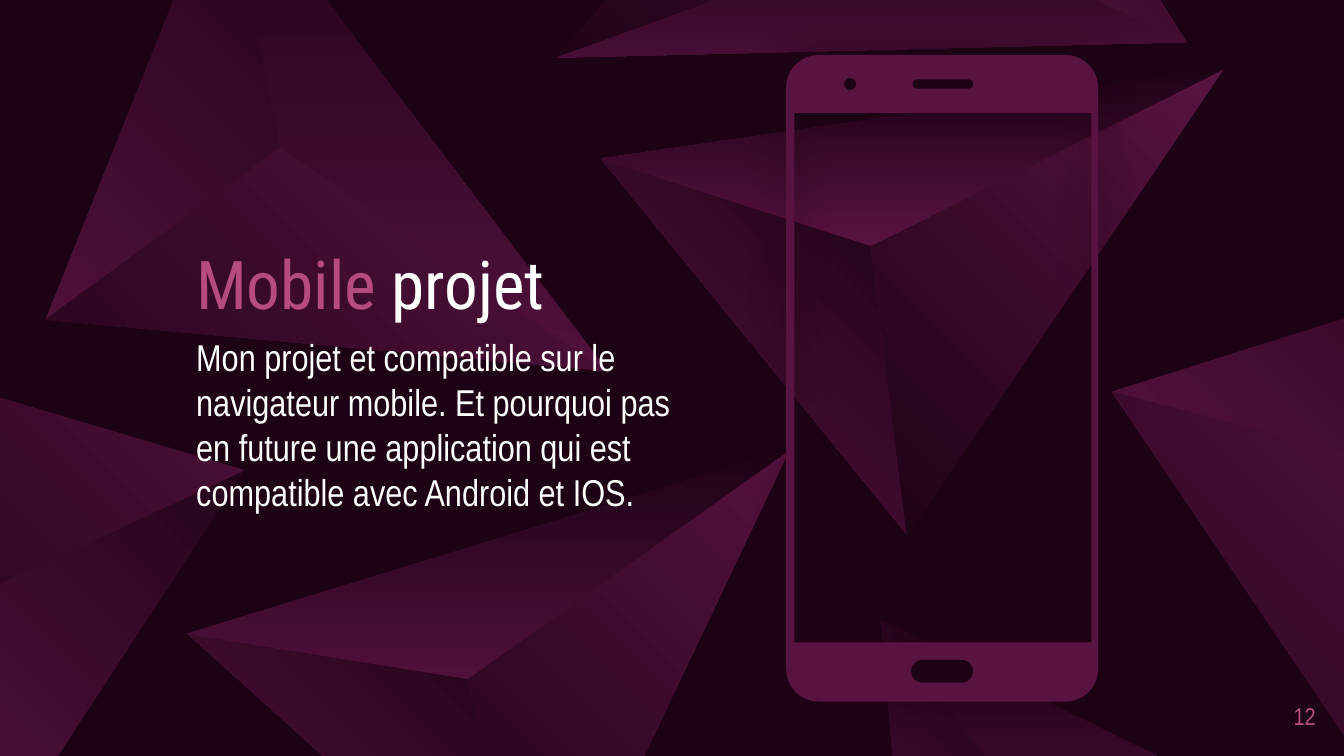
import math
import pptx
import pptx.dml.color
import pptx.enum.shapes
import pptx.enum.text
import pptx.oxml
import pptx.oxml.ns
import pptx.util

Inches = pptx.util.Inches
Pt = pptx.util.Pt
MSO_SHAPE = pptx.enum.shapes.MSO_SHAPE
PP_ALIGN = pptx.enum.text.PP_ALIGN

WIDTH = 10
HEIGHT = WIDTH * 9 / 16
COLORS = {"night": "1D0216", "plum": "591341", "pink": "B64B7F", "white": "FFFFFF"}
HEAD_FONT, TEXT_FONT = "Roboto Condensed", "Arial Narrow"

LEFT, BOTTOM, RIGHT, APEX = -2.01 - 0.65j, 0.27 + 2.15j, 2.63 - 1.32j, 0j
FACETS = [
    ((LEFT, BOTTOM, APEX), 45),
    ((BOTTOM, RIGHT, APEX), 225),
    ((LEFT, APEX, RIGHT), 90),
]
CRYSTALS = [
    (6.48 + 1.83j, 0),
    (6.91 - 0.57j, 186.8),
    (10.37 + 3.46j, 111.7),
    (3.48 + 5.05j, 351.2),
    (-0.15 + 4.41j, 252.3),
    (2.09 + 1.1j, 61),
    (7.85 + 6.29j, 34.4),
]


def rgb(name):
    return pptx.dml.color.RGBColor.from_string(COLORS[name])


def box_center(points):
    xs, ys = [p.real for p in points], [p.imag for p in points]
    return complex((min(xs) + max(xs)) / 2, (min(ys) + max(ys)) / 2)


def on_slide(points):
    xs, ys = [p.real for p in points], [p.imag for p in points]
    return max(xs) > 0 and min(xs) < WIDTH and max(ys) > 0 and min(ys) < HEIGHT


def rounded_outline(left, top, width, height, radius):
    right, bottom = left + width - radius, top + height - radius
    left, top = left + radius, top + radius
    centers = [(left, top), (right, top), (right, bottom), (left, bottom)]
    points = []
    for i, (cx, cy) in enumerate(centers):
        for step in range(13):
            a = math.radians(180 + 90 * i + 7.5 * step)
            points.append(complex(cx + radius * math.cos(a), cy + radius * math.sin(a)))
    return points


class Deck:
    def __init__(self):
        self.prs = pptx.Presentation()
        self.prs.slide_width, self.prs.slide_height = Inches(WIDTH), Inches(HEIGHT)
        self.slide = None

    def new_slide(self, background):
        layout = self.prs.slide_layouts.get_by_name("Section Header")
        self.slide = self.prs.slides.add_slide(layout)
        title = self.slide.shapes.title.element
        title.getparent().remove(title)
        self.slide.background.fill.solid()
        self.slide.background.fill.fore_color.rgb = rgb(background)

    def finish(self, sp, fill=None):
        sp.shadow.inherit = False
        sp.line.fill.background()
        if fill:
            sp.fill.solid()
            sp.fill.fore_color.rgb = rgb(fill)
        return sp

    def outline(self, *contours):
        builder = None
        for contour in contours:
            pts = [(Inches(p.real), Inches(p.imag)) for p in contour]
            if builder is None:
                builder = self.slide.shapes.build_freeform(*pts[0])
            else:
                builder.move_to(*pts[0])
            builder.add_line_segments(pts[1:], close=True)
        return builder.convert_to_shape()

    def crystal(self, apex, angle):
        turn = complex(math.cos(math.radians(angle)), math.sin(math.radians(angle)))
        for corners, gradient_angle in FACETS:
            if not on_slide([apex + p * turn for p in corners]):
                continue
            center = box_center(corners)
            shift = apex + center * turn - center
            sp = self.finish(self.outline([p + shift for p in corners]))
            sp.rotation = angle
            sp.fill.gradient()
            sp.fill.gradient_angle = gradient_angle
            for stop, color in zip(sp.fill.gradient_stops, ("plum", "night")):
                stop.color.rgb = rgb(color)
            grad = sp.element.spPr.find(pptx.oxml.ns.qn("a:gradFill"))
            grad.set("rotWithShape", "0")

    def shape(self, kind, left, top, width, height, fill):
        sp = self.slide.shapes.add_shape(
            kind, Inches(left), Inches(top), Inches(width), Inches(height))
        if kind == MSO_SHAPE.ROUNDED_RECTANGLE:
            sp.adjustments[0] = 0.5
        return self.finish(sp, fill)

    def glow(self, sp, color, alpha, blur):
        effects = sp.element.spPr.find(pptx.oxml.ns.qn("a:effectLst"))
        effects.append(pptx.oxml.parse_xml(
            f'<a:outerShdw {pptx.oxml.ns.nsdecls("a")} blurRad="{Pt(blur)}" '
            f'algn="ctr" rotWithShape="0"><a:srgbClr val="{COLORS[color]}">'
            f'<a:alpha val="{alpha * 1000}"/></a:srgbClr></a:outerShdw>'))

    def place_text(self, sp, left, top, width, height):
        sp.left, sp.top = Inches(left), Inches(top)
        sp.width, sp.height = Inches(width), Inches(height)
        tf = sp.text_frame
        tf.word_wrap = True
        tf.auto_size = pptx.enum.text.MSO_AUTO_SIZE.NONE
        tf.vertical_anchor = pptx.enum.text.MSO_ANCHOR.MIDDLE
        tf.margin_left = tf.margin_right = tf.margin_top = tf.margin_bottom = 0
        return tf

    def body(self, *box):
        sp = self.slide.placeholders[1]
        sp.element.getparent().append(sp.element)
        return self.place_text(sp, *box)

    def text_box(self, *box):
        return self.place_text(self.slide.shapes.add_textbox(0, 0, 0, 0), *box)

    def paragraph(self, p, runs, font, size, space=0, align=PP_ALIGN.LEFT):
        p.alignment = align
        p.space_before = p.space_after = Pt(space)
        for text, color in runs:
            r = p.add_run()
            r.text = text
            r.font.name, r.font.size = font, Pt(size)
            r.font.bold = False
            r.font.color.rgb = rgb(color)


def main():
    deck = Deck()
    deck.new_slide("night")
    for apex, angle in CRYSTALS:
        deck.crystal(apex, angle)

    tf = deck.body(1.46, 0.86, 3.73, 3.91)
    deck.paragraph(tf.paragraphs[0], [("Mobile", "pink"), (" projet", "white")],
                   HEAD_FONT, 36)
    deck.paragraph(tf.add_paragraph(), [(
        "Mon projet et compatible sur le navigateur mobile. Et pourquoi pas en future "
        "une application qui est compatible avec Android et IOS.", "white")],
        TEXT_FONT, 20, space=6)

    tf = deck.text_box(9.35, 5.11, 0.44, 0.43)
    deck.paragraph(tf.paragraphs[0], [("12", "pink")], TEXT_FONT, 13,
                   align=PP_ALIGN.RIGHT)

    screen = [8.12 + 0.84j, 8.12 + 4.78j, 5.91 + 4.78j, 5.91 + 0.84j]
    case = rounded_outline(5.85, 0.41, 2.32, 4.81, 0.24)
    phone = deck.finish(deck.outline(screen[::-1], case), "plum")
    deck.glow(phone, "night", 70, 20.2)
    deck.shape(MSO_SHAPE.ROUNDED_RECTANGLE, 6.78, 4.91, 0.46, 0.17, "night")
    deck.shape(MSO_SHAPE.OVAL, 6.28, 0.58, 0.09, 0.09, "night")
    deck.shape(MSO_SHAPE.ROUNDED_RECTANGLE, 6.79, 0.59, 0.45, 0.07, "night")

    deck.prs.save("out.pptx")


if __name__ == "__main__":
    main()
